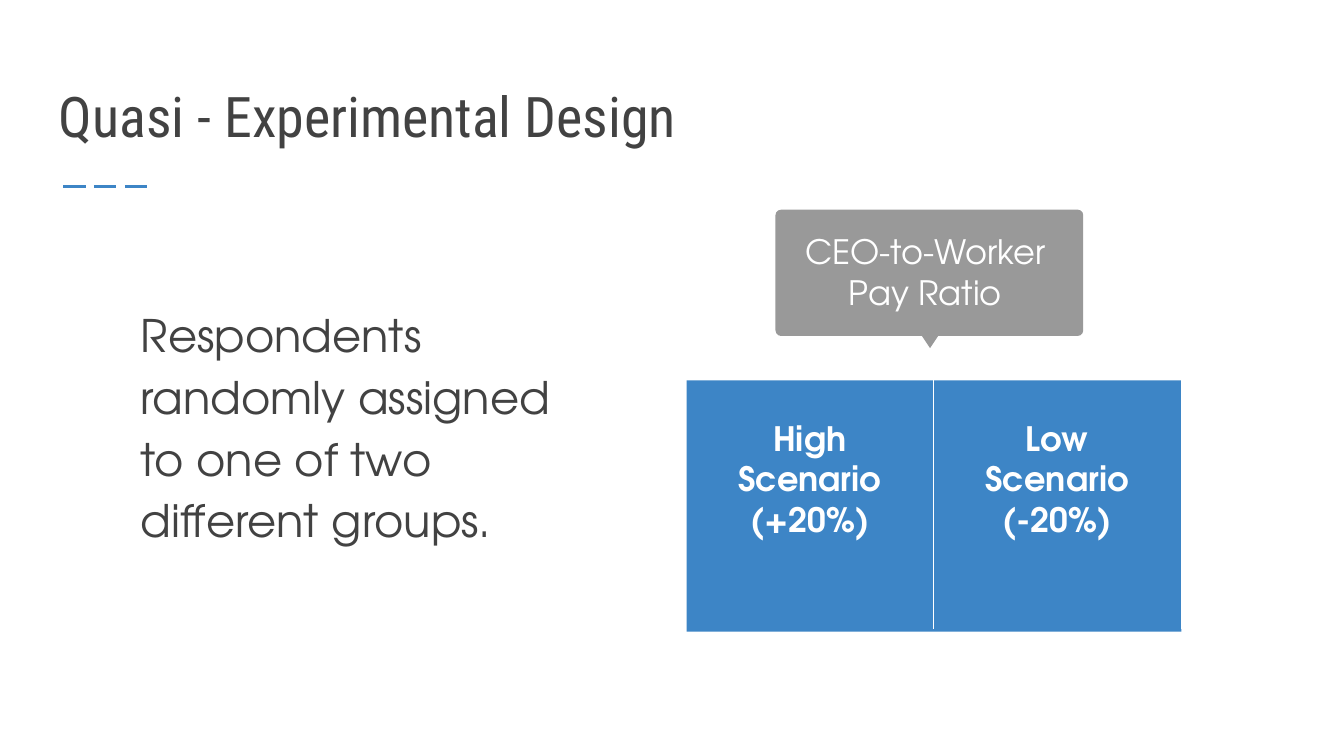
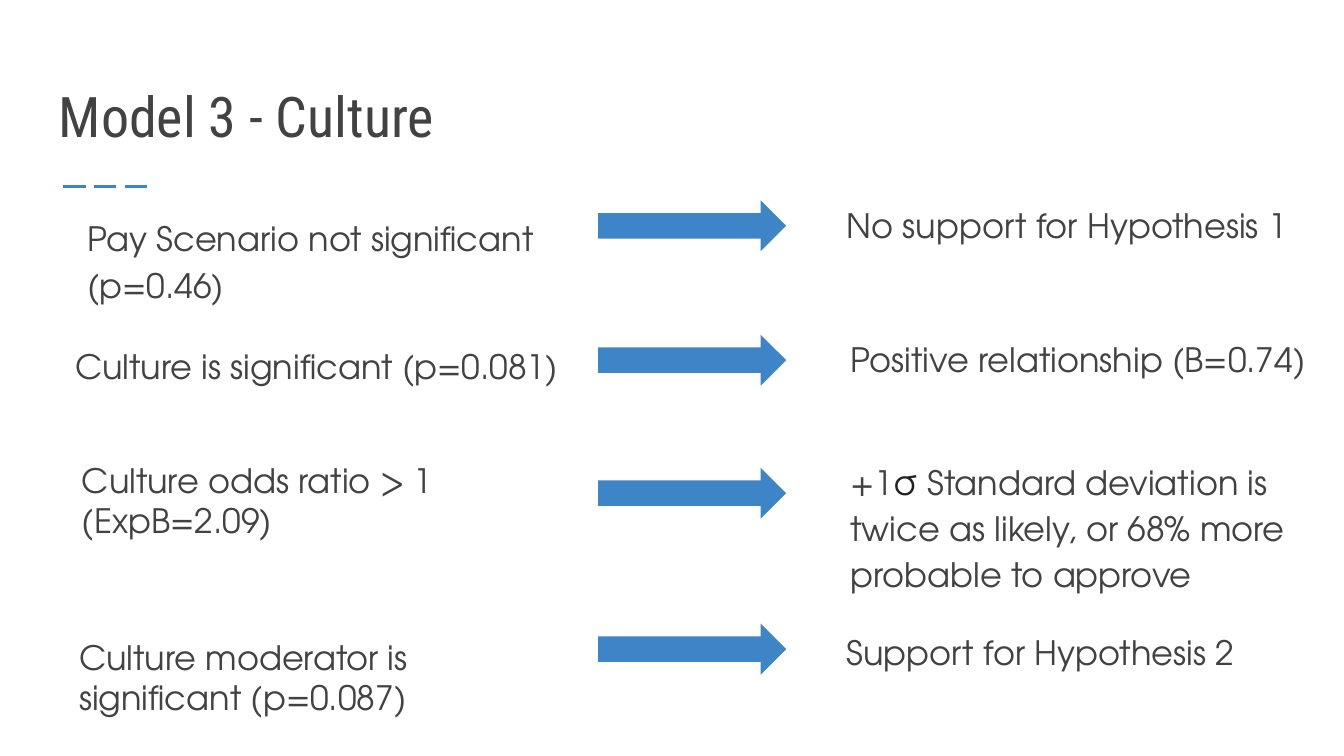
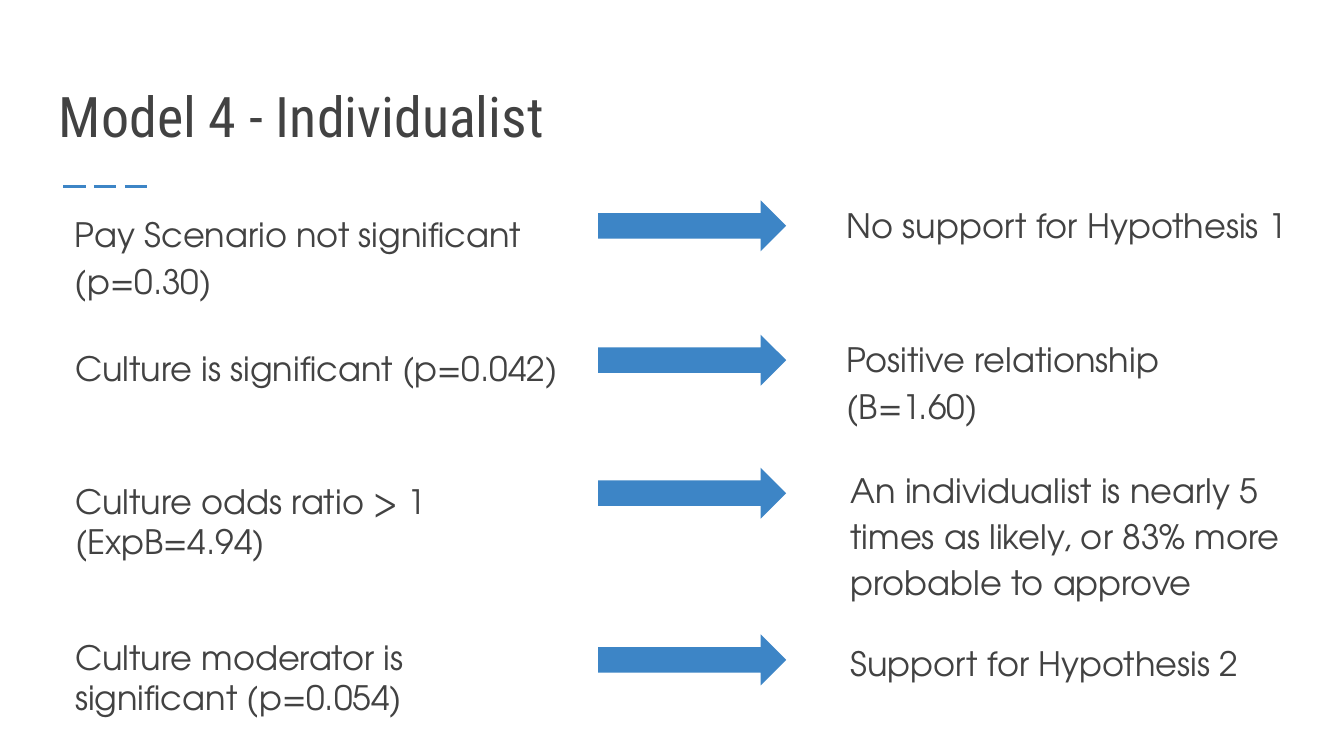
from pptx import Presentation
from pptx.dml.color import RGBColor
from pptx.enum.dml import MSO_LINE as Dash
from pptx.enum.shapes import MSO_CONNECTOR as Conn, MSO_SHAPE as Form
from pptx.enum.text import MSO_ANCHOR as Anchor, PP_ALIGN as Align
from pptx.oxml.ns import qn
from pptx.util import Inches, Pt
from lxml.etree import SubElement

# Palette and fonts
BLUE = RGBColor(0x3D, 0x85, 0xC6)
GREY = RGBColor(0x99, 0x99, 0x99)
DARK = RGBColor(0x42, 0x42, 0x42)
INK = RGBColor(0x20, 0x21, 0x24)
WHITE = RGBColor(0xFF, 0xFF, 0xFF)
HEAD, BODY = "Roboto Condensed", "TeX Gyre Adventor"

# Slide size, 16:9
WIDE = Inches(10)
HIGH = WIDE * 9 // 16

# Text formats
LOOSE = {"line_spacing": 1.15, "space_after": Pt(16)}
TIGHT = {"space_after": Pt(16)}
MID = {"alignment": Align.CENTER}


def apply(item, form):
    for name, value in form.items():
        setattr(item, name, value)


class Deck:
    """Holds the shared style and the current slide."""

    def __init__(self):
        self.prs = Presentation()
        apply(self.prs, {"slide_width": WIDE, "slide_height": HIGH})
        self.slide = None

    def page(self, title, width):
        self.slide = self.prs.slides.add_slide(self.prs.slide_layouts[6])
        self.line(0.47, 1.39, 1.14, 1.39, BLUE, 1.5, Dash.LONG_DASH)
        self.text((0.34, 0.41, width, 0.8), [title], {},
                  anchor=Anchor.BOTTOM, name=HEAD, size=Pt(30))

    def text(self, box, paras, form, color=DARK, anchor=Anchor.TOP, **font):
        """Each paragraph is a string or a list of (words, colour) runs."""
        frame = self.slide.shapes.add_textbox(*map(Inches, box)).text_frame
        apply(frame, {"word_wrap": True, "vertical_anchor": anchor})
        for side in ("left", "right", "top", "bottom"):
            setattr(frame, "margin_" + side, Inches(0.1))
        style = {"name": BODY, "size": Pt(18), **font}
        for i, runs in enumerate(paras):
            para = frame.add_paragraph() if i else frame.paragraphs[0]
            apply(para, form)
            for words, hue in [(runs, color)] if isinstance(runs, str) else runs:
                run = para.add_run()
                run.text = words
                apply(run.font, style)
                run.font.color.rgb = hue

    def shape(self, kind, box, fill, adj=(), turn=0):
        item = self.slide.shapes.add_shape(kind, *map(Inches, box))
        item.shadow.inherit = False
        item.fill.solid()
        item.fill.fore_color.rgb = fill
        item.line.fill.background()
        item.rotation = turn
        for i, value in enumerate(adj):
            item.adjustments[i] = value

    def line(self, x1, y1, x2, y2, color, width, dash=None):
        item = self.slide.shapes.add_connector(
            Conn.STRAIGHT, *map(Inches, (x1, y1, x2, y2)))
        SubElement(item._element.spPr, qn("a:effectLst"))
        item.line.color.rgb = color
        apply(item.line, {"width": Pt(width), "dash_style": dash})

    def model(self, title, width, rows):
        """Findings on the left, arrows, conclusions on the right."""
        self.page(title, width)
        for top, (cause, box, form), (result, place) in rows:
            self.text(box, [cause], form)
            self.shape(Form.RIGHT_ARROW, (4.45, top, 1.4, 0.38), BLUE)
            self.text(place, [result], LOOSE)


def design(deck):
    deck.page("Quasi - Experimental Design", 5.67)
    deck.text((0.95, 2.13, 3.57, 1.93),
              ["Respondents randomly assigned to one of two different groups."],
              LOOSE, size=Pt(24))
    # Scenario panels
    wide = 1.84
    panels = [("High", "(+20%)", 1.61), ("Low", "(-20%)", 1.46)]
    for i, (name, change, high) in enumerate(panels):
        left = 5.11 + i * wide
        deck.shape(Form.RECTANGLE, (left, 2.83, wide, 1.87), BLUE)
        deck.text((left + 0.17, 3.01, 1.49, high), [name + " Scenario", change],
                  MID, WHITE, bold=True)
        deck.line(left + wide, 2.4, left + wide, 4.68, WHITE, 0.75)
    # Callout
    deck.shape(Form.ROUNDED_RECTANGLE, (5.77, 1.56, 2.29, 0.94), GREY,
               [0.045], 180)
    deck.shape(Form.ISOSCELES_TRIANGLE, (6.86, 2.5, 0.12, 0.09), GREY, turn=180)
    deck.text((5.82, 1.62, 2.13, 0.8), ["CEO-to-Worker Pay Ratio"], MID, WHITE)


def main():
    deck = Deck()
    design(deck)

    none = ("No support for Hypothesis 1", (6.2, 1.38, 3.51, 0.59))
    sigma = [("+1", DARK), ("σ", INK),
             (" Standard deviation is twice as likely, or 68% more "
              "probable to approve", DARK)]

    # Each row: arrow top, finding, conclusion
    deck.model("Model 3 - Culture", 3.04, [
        (1.49, ("Pay Scenario not significant (p=0.46)",
                (0.55, 1.48, 3.63, 0.69), LOOSE), none),
        (2.49, ("Culture is significant (p=0.081)",
                (0.46, 2.43, 3.92, 0.59), LOOSE),
         ("Positive relationship (B=0.74)", (6.23, 2.38, 3.63, 0.7))),
        (3.48, ("Culture odds ratio > 1 (ExpB=2.09)",
                (0.51, 3.32, 3.7, 0.7), TIGHT),
         (sigma, (6.23, 3.29, 3.45, 0.97))),
        (4.64, ("Culture moderator is significant (p=0.087)",
                (0.49, 4.64, 3.81, 0.7), TIGHT),
         ("Support for Hypothesis 2", (6.2, 4.56, 3.45, 0.54))),
    ])
    deck.model("Model 4 - Individualist", 3.92, [
        (1.49, ("Pay Scenario not significant (p=0.30)",
                (0.46, 1.45, 3.63, 0.69), LOOSE), none),
        (2.49, ("Culture is significant (p=0.042)",
                (0.46, 2.44, 3.92, 0.59), LOOSE),
         ("Positive relationship (B=1.60)", (6.2, 2.38, 3.51, 0.7))),
        (3.48, ("Culture odds ratio > 1 (ExpB=4.94)",
                (0.46, 3.48, 3.92, 0.7), TIGHT),
         ("An individualist is nearly 5 times as likely, or 83% more "
          "probable to approve", (6.23, 3.35, 3.45, 0.97))),
        (4.72, ("Culture moderator is significant (p=0.054)",
                (0.46, 4.64, 3.92, 0.7), TIGHT),
         ("Support for Hypothesis 2", (6.23, 4.64, 3.45, 0.54))),
    ])
    deck.prs.save("out.pptx")


if __name__ == "__main__":
    main()
